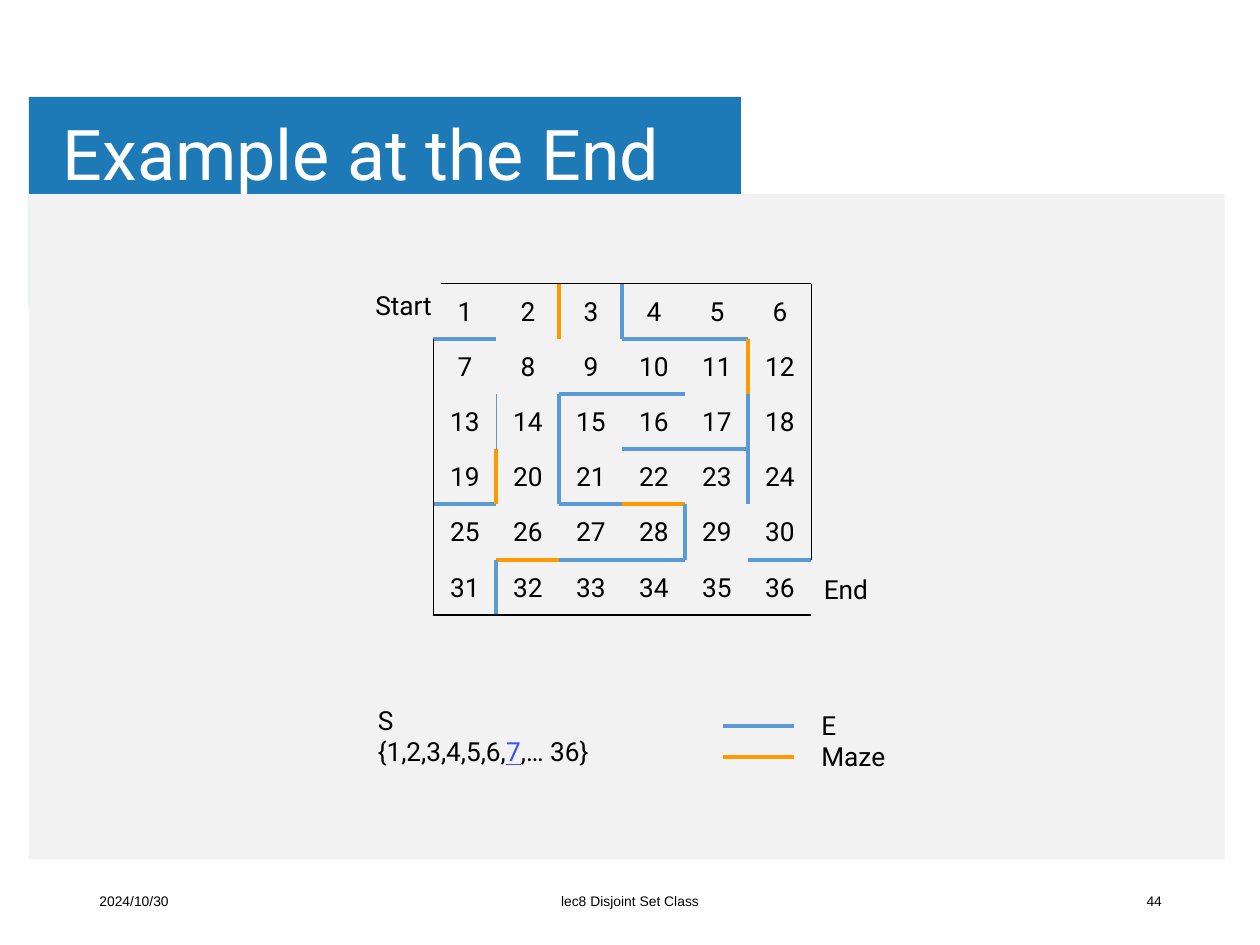
from pptx import Presentation
from pptx.dml.color import RGBColor
from pptx.enum.shapes import MSO_CONNECTOR as CONN, MSO_SHAPE as SHAPE
from pptx.enum.text import MSO_ANCHOR as ANCHOR, MSO_AUTO_SIZE as AUTO, PP_ALIGN as ALIGN
from pptx.oxml.ns import qn
from pptx.util import Inches, Pt
from lxml import etree

BLACK, BLUE, GOLD = "000000", "5B9BD5", "FF9900"
THIN, WIDE = 0.75, 2.25

# Maze grid: top left corner, cell width and height, cells per side
LEFT, TOP, W, H, N = 3.44, 2.25, 0.5, 2.63 / 6, 6

rgb = RGBColor.from_string

prs = Presentation()
prs.slide_width, prs.slide_height = Inches(10), Inches(7.5)
slide = prs.slides.add_slide(prs.slide_layouts[6])
shapes = slide.shapes


def text(x, y, w, h, paras, size=15, font="Roboto", align=ALIGN.LEFT,
         anchor=ANCHOR.TOP, wrap=False, grow=False):
    """Each paragraph is a list of (words, colour, underline) runs."""
    frame = shapes.add_textbox(Inches(x), Inches(y), Inches(w), Inches(h)).text_frame
    frame.word_wrap = wrap
    frame.auto_size = AUTO.SHAPE_TO_FIT_TEXT if grow else AUTO.NONE
    frame.vertical_anchor = anchor
    for i, runs in enumerate(paras):
        para = frame.add_paragraph() if i else frame.paragraphs[0]
        para.alignment = align
        for words, color, under in runs:
            run = para.add_run()
            run.text = words
            run.font.size, run.font.name = Pt(size), font
            run.font.color.rgb = rgb(color)
            run.font.underline = under
    return frame


def line(x1, y1, x2, y2, color, width):
    conn = shapes.add_connector(CONN.STRAIGHT, Inches(x1), Inches(y1), Inches(x2), Inches(y2))
    conn.line.color.rgb = rgb(color)
    conn.line.width = Pt(width)
    etree.SubElement(conn._element.spPr, qn("a:effectLst"))


# Title band and content panel
for x, y, w, h, color in [(0.23, 0.77, 5.65, 1.67, "1E7AB6"),
                          (0.23, 1.54, 9.49, 5.28, "F2F2F2")]:
    rect = shapes.add_shape(SHAPE.RECTANGLE, Inches(x), Inches(y), Inches(w), Inches(h))
    rect.shadow.inherit = False
    rect.fill.solid()
    rect.fill.fore_color.rgb = rgb(color)
    rect.line.fill.background()

# Title
title = text(0.43, 0.76, 8.03, 0.98, [[("Example at the End", "FFFFFF", False)]],
             size=40, anchor=ANCHOR.MIDDLE, wrap=True)
title.margin_left = title.margin_right = Inches(0.07)
title.margin_top = title.margin_bottom = Inches(0.04)
title.paragraphs[0].line_spacing = 0.9

# Footer
for x, w, words, align in [(0.69, 2.25, "2024/10/30", ALIGN.LEFT),
                           (3.31, 3.38, "lec8 Disjoint Set Class", ALIGN.CENTER),
                           (7.07, 2.25, "44", ALIGN.RIGHT)]:
    text(x, 6.95, w, 0.4, [[(words, BLACK, False)]], size=7.9, font="Arial",
         align=align, anchor=ANCHOR.MIDDLE, wrap=True)

# Maze walls as (column, row) of their start: flat ones run right, upright ones down
flat = [
    (BLACK, THIN, [(c, 0) for c in range(1, N)] + [(5, 6)]),
    (BLUE, WIDE, [(0, 1), (3, 1), (4, 1), (2, 2), (3, 2), (3, 3), (4, 3),
                  (0, 4), (2, 4), (2, 5), (3, 5), (5, 5)]),
    (GOLD, WIDE, [(3, 4), (1, 5)]),
]
upright = [
    (BLACK, THIN, [(6, r) for r in range(N - 1)]),
    (BLUE, THIN, [(1, 2)]),
    (BLUE, WIDE, [(3, 0), (2, 2), (5, 2), (2, 3), (5, 3), (4, 4), (1, 5)]),
    (GOLD, WIDE, [(2, 0), (5, 1), (1, 3)]),
]
for walls, dx, dy in [(flat, W, 0), (upright, 0, H)]:
    for color, width, cells in walls:
        for col, row in cells:
            x, y = LEFT + col * W, TOP + row * H
            line(x, y, x + dx, y + dy, color, width)

# Long outer walls and the short one by the start
base = TOP + N * H
line(LEFT + 5 * W, base, LEFT, base, BLACK, THIN)
line(LEFT, base, LEFT, TOP + H, BLACK, THIN)
line(3.5, TOP, 4, TOP, BLACK, THIN)

# Cell numbers
for i in range(N * N):
    row, col = divmod(i, N)
    text(LEFT + 0.06 + col * W, TOP + 0.06 + row * H, 0.38, 0.31,
         [[(str(i + 1), BLACK, False)]], align=ALIGN.CENTER, anchor=ANCHOR.MIDDLE)

# Start and end labels
text(2.88, 2.25, 0.68, 0.35, [[("Start", BLACK, False)]], grow=True)
text(6.44, 4.5, 0.58, 0.35, [[("End", BLACK, False)]], grow=True)

# Resulting set
text(2.9, 5.54, 2.13, 0.6,
     [[("S", BLACK, False)],
      [("{1,2,3,4,5,6,", BLACK, False), ("7", "374FFF", True), (",… 36}", BLACK, False)]],
     grow=True)

# Legend
for y, color in [(5.76, BLUE), (6.01, GOLD)]:
    line(5.74, y, 6.3, y, color, WIDE)
text(6.42, 5.58, 0.71, 0.6, [[("E", BLACK, False)], [("Maze", BLACK, False)]], grow=True)

prs.save("out.pptx")
